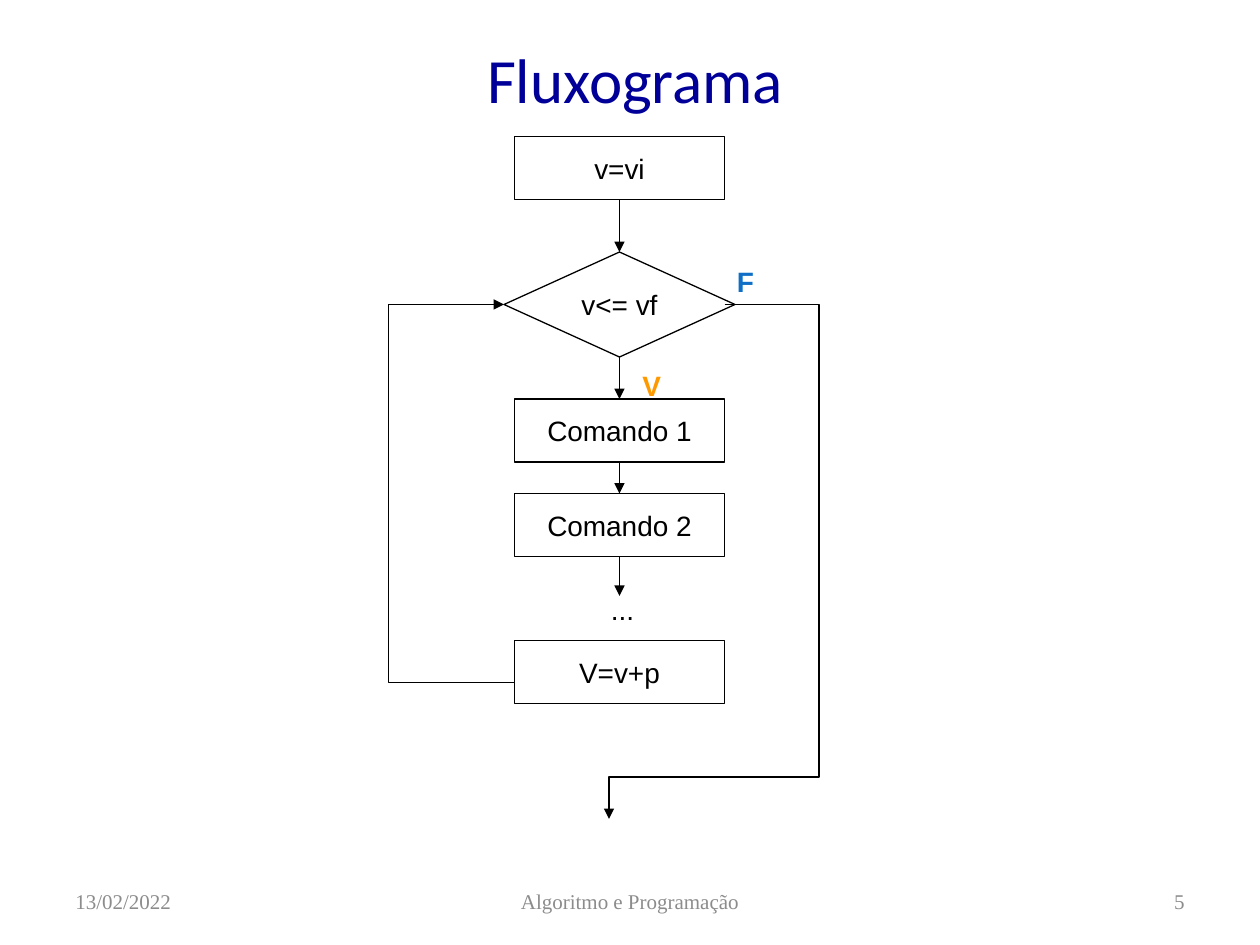
from lxml import etree
from pptx import Presentation
from pptx import util as u
from pptx.dml.color import RGBColor
from pptx.enum import shapes, text
from pptx.oxml.ns import qn

COLORS = {
    "title": "000099", "ink": "000000", "paper": "FFFFFF",
    "true": "FF9900", "false": "0F6FC6", "footer": "8C8C8C",
}
COLUMNS, ROWS = 120, 90
UNIT = u.Inches(10) // COLUMNS  # square grid cells
TOP, BOTTOM = 0, 2  # connection sites
LEFT, CENTER, RIGHT = text.PP_ALIGN.LEFT, text.PP_ALIGN.CENTER, text.PP_ALIGN.RIGHT


def color(name):
    return RGBColor.from_string(COLORS[name])


def grid(*cells):
    return [u.Emu(round(cell * UNIT)) for cell in cells]


def write(shape, words, size, font, ink, align=LEFT, bold=False, wrap=True,
          anchor=text.MSO_ANCHOR.MIDDLE):
    frame = shape.text_frame
    frame.word_wrap = wrap
    frame.vertical_anchor = anchor
    paragraph = frame.paragraphs[0]
    paragraph.text = words
    paragraph.alignment = align
    paragraph.font.size = u.Pt(size)
    paragraph.font.name = font
    paragraph.font.bold = bold
    paragraph.font.color.rgb = color(ink)


def style_line(shape, width=0.75, arrow=False):
    shape.line.color.rgb = color("ink")
    shape.line.width = u.Pt(width)
    if arrow:
        etree.SubElement(shape.line._get_or_add_ln(), qn("a:tailEnd"), type="triangle")


def add_node(slide, kind, words, box):
    node = slide.shapes.add_shape(kind, *grid(*box))
    node.shadow.inherit = False
    node.fill.solid()
    node.fill.fore_color.rgb = color("paper")
    style_line(node)
    write(node, words, 16, "Arial", "ink", CENTER, wrap=False)
    return node


def add_label(slide, words, box, ink, bold=True):
    label = slide.shapes.add_textbox(*grid(*box))
    write(label, words, 16, "Arial", ink, bold=bold, wrap=False,
          anchor=text.MSO_ANCHOR.TOP)


def add_arrow(slide, source, target=None, length=0):
    """Arrow down from a node, to another node or over a length in rows."""
    x, y = source.left + source.width // 2, source.top + source.height
    arrow = slide.shapes.add_connector(
        shapes.MSO_CONNECTOR.STRAIGHT, x, y, x, y + grid(length)[0])
    arrow.begin_connect(source, BOTTOM)
    if target is not None:
        arrow.end_connect(target, TOP)
    style_line(arrow, arrow=True)
    etree.SubElement(arrow._element.spPr, qn("a:effectLst"))


def add_route(slide, points, width=0.75):
    """Bent arrow through grid points."""
    builder = slide.shapes.build_freeform(*points[0], scale=UNIT)
    builder.add_line_segments(points[1:], close=False)
    route = builder.convert_to_shape()
    route.shadow.inherit = False
    route.fill.background()
    style_line(route, width, arrow=True)


def add_title(slide, box):
    title = slide.shapes.add_textbox(*grid(*box))
    write(title, "Fluxograma", 36, "Calibri", "title", CENTER)


def add_flowchart(slide, left, top):
    rectangle, decision = shapes.MSO_SHAPE.RECTANGLE, shapes.MSO_SHAPE.FLOWCHART_DECISION
    width, height, middle = 20, 6, left + 10

    def step(words, row):
        return add_node(slide, rectangle, words, (left, top + row, width, height))

    start = step("v=vi", 0)
    test = add_node(slide, decision, "v<= vf", (left - 1, top + 11, width + 2, 10))
    first = step("Comando 1", 25)
    second = step("Comando 2", 34)
    step("V=v+p", 48)

    for source, target in ((start, test), (test, first), (first, second)):
        add_arrow(slide, source, target)
    add_arrow(slide, second, length=3.75)

    add_label(slide, "V", (middle + 1, top + 21.5, 4.2, 4.4), "true")
    add_label(slide, "F", (left + width, top + 11.6, 4.1, 4.4), "false")
    add_label(slide, "...", (middle - 2, top + 42.8, 4.7, 4.4), "ink", bold=False)

    test_row, back_row, exit_row = top + 16, top + 52, top + 61
    back, side = left - 12, left + width + 9
    add_route(slide, [(left, back_row), (back, back_row),
                      (back, test_row), (left - 1, test_row)], width=1)
    add_route(slide, [(left + width, test_row), (side, test_row), (side, exit_row),
                      (middle - 1, exit_row), (middle - 1, exit_row + 4)])


def add_footer(slide, top, height):
    for words, left, width, align in (
        ("13/02/2022", 6, 28, LEFT),
        ("Algoritmo e Programação", 41, 38, CENTER),
        ("5", 86, 28, RIGHT),
    ):
        part = slide.shapes.add_textbox(*grid(left, top, width, height))
        write(part, words, 12, "Times New Roman", "footer", align)


def main():
    presentation = Presentation()
    presentation.slide_width, presentation.slide_height = grid(COLUMNS, ROWS)
    slide = presentation.slides.add_slide(presentation.slide_layouts[6])
    add_title(slide, (4, 3, 113, 9))
    add_flowchart(slide, left=49, top=13)
    add_footer(slide, top=83.4, height=4.8)
    presentation.save("out.pptx")


if __name__ == "__main__":
    main()
